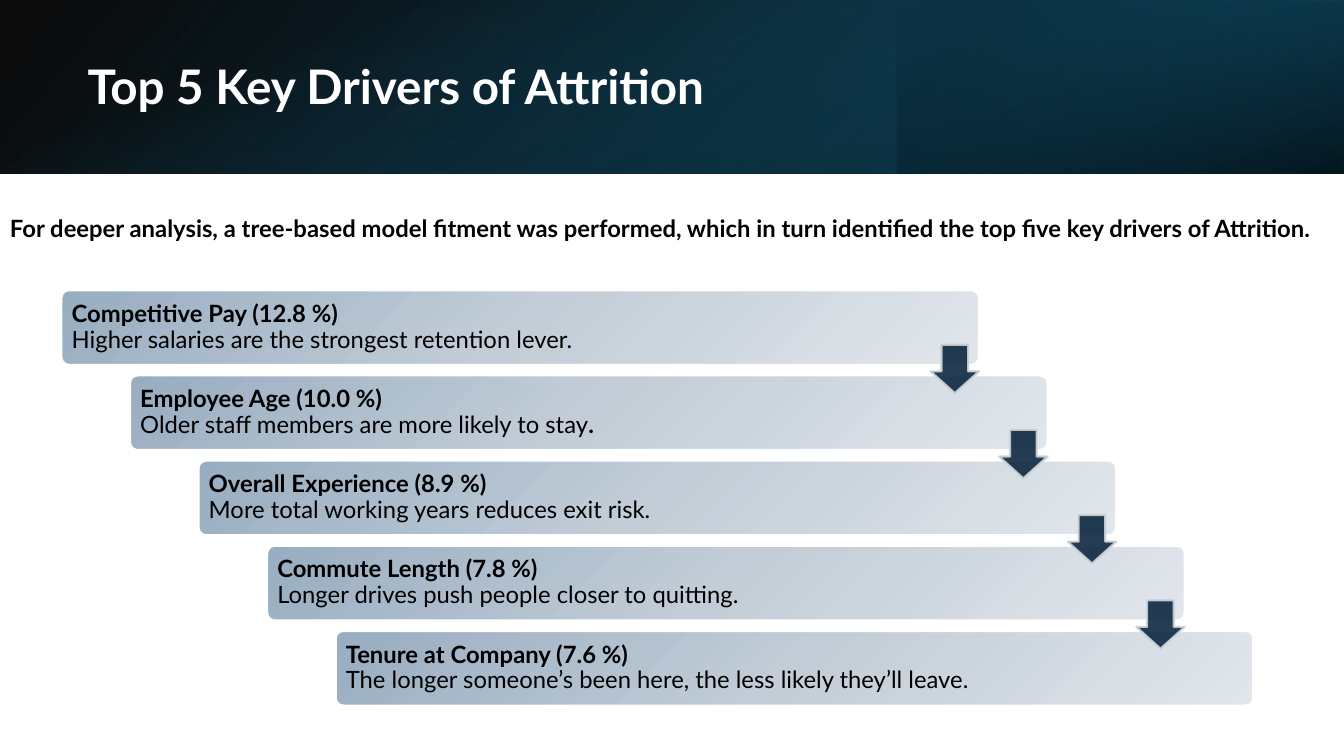
import pptx
import pptx.util
import pptx.oxml
import pptx.oxml.ns
import pptx.dml.color
import pptx.enum.shapes
import pptx.enum.text
from dataclasses import dataclass

Inches = pptx.util.Inches
Pt = pptx.util.Pt
Kind = pptx.enum.shapes.MSO_SHAPE
Anchor = pptx.enum.text.MSO_ANCHOR
qn = pptx.oxml.ns.qn


@dataclass(frozen=True)
class Theme:
    font: str = "Lato"
    head: int = 34
    body: int = 17
    edge: float = 1.5
    white: str = "FFFFFF"
    black: str = "000000"
    teal: str = "156082"
    deep: str = "0B3041"
    sea: str = "104862"
    navy: str = "0E2841"
    rim: str = "CCD2D8"
    bar: tuple = ((0, "98ADC1", 100), (50, "C2CDD7", 100), (100, "E1E6EB", 100))


THEME = Theme()

# Title and text of each driver, as runs of (text, bold)
DRIVERS = [
    ("Competitive Pay (12.8 %)",
     [("Higher salaries are the strongest retention lever.", False)]),
    ("Employee Age (10.0 %)",
     [("Older staff members are more likely to stay", False), (".", True)]),
    ("Overall Experience (8.9 %)",
     [("More total working years reduces exit risk.", False)]),
    ("Commute Length (7.8 %)",
     [("Longer drives push people closer to quitting.", False)]),
    ("Tenure at Company (7.6 %)",
     [("The longer someone’s been here, the less likely they’ll leave.", False)]),
]
STEP_X, STEP_Y = 0.68, 0.845


def rgb(code):
    return pptx.dml.color.RGBColor.from_string(code)


def add_box(slide, kind, place):
    shape = slide.shapes.add_shape(kind, *map(Inches, place))
    shape.shadow.inherit = False
    shape.fill.solid()
    shape.line.fill.background()
    return shape


def set_edge(shape, color):
    shape.line.color.rgb = rgb(color)
    shape.line.width = Pt(THEME.edge)


def set_grad(shape, stops, angle):
    marks = "".join(
        f'<a:gs pos="{pos * 1000}"><a:srgbClr val="{color}">'
        f'<a:alpha val="{alpha * 1000}"/></a:srgbClr></a:gs>'
        for pos, color, alpha in stops)
    grad = pptx.oxml.parse_xml(
        f'<a:gradFill {pptx.oxml.ns.nsdecls("a")} rotWithShape="1">'
        f'<a:gsLst>{marks}</a:gsLst>'
        f'<a:lin ang="{angle * 60000}" scaled="0"/></a:gradFill>')
    props = shape.element.spPr
    props.replace(props.find(qn("a:solidFill")), grad)


def set_alpha(shape, share):
    for color in shape.element.spPr.iter(qn("a:srgbClr")):
        color.append(pptx.oxml.parse_xml(
            f'<a:alpha {pptx.oxml.ns.nsdecls("a")} val="{share * 1000}"/>'))


def add_text(slide, place, lines, size, color, inset=None, anchor=Anchor.TOP, space=1.0):
    frame = slide.shapes.add_textbox(*map(Inches, place)).text_frame
    frame.word_wrap = True
    frame.vertical_anchor = anchor
    if inset is not None:
        frame.margin_left = frame.margin_right = Inches(inset)
        frame.margin_top = frame.margin_bottom = Inches(inset)
    para = frame.paragraphs[0]
    para.line_spacing = space
    for index, runs in enumerate(lines):
        if index:
            para.add_line_break()
        for text, bold in runs:
            run = para.add_run()
            run.text = text
            run.font.name = THEME.font
            run.font.size = Pt(size)
            run.font.bold = bold
            run.font.color.rgb = rgb(color)


def add_band(slide):
    # Layers as place, turn, mirrored, stops, angle
    layers = [
        ((0, 0, 13.33, 1.72), 0, True,
         [(0, THEME.black, 96), (100, THEME.sea, 100)], 140),
        ((8.89, 0, 4.44, 1.72), 180, True,
         [(19, THEME.deep, 68), (100, THEME.teal, 79)], 320),
        ((5.8, -5.8, 1.72, 13.33), 90, False,
         [(23, THEME.teal, 0), (99, THEME.black, 74)], 340),
        ((4.18, 0, 4.71, 1.72), 0, False,
         [(0, THEME.teal, 17), (74, THEME.deep, 0)], 240),
    ]
    for place, turn, mirror, stops, angle in layers:
        layer = add_box(slide, Kind.RECTANGLE, place)
        layer.rotation = turn
        if mirror:
            layer.element.spPr.get_or_add_xfrm().set("flipH", "1")
        set_grad(layer, stops, angle)


def add_bar(slide, index, title, runs):
    left, top = 0.61 + STEP_X * index, 2.88 + STEP_Y * index
    bar = add_box(slide, Kind.ROUNDED_RECTANGLE, (left, top, 9.1, 0.74))
    bar.adjustments[0] = 0.1
    set_grad(bar, THEME.bar, 45)
    set_edge(bar, THEME.white)
    add_text(slide, (left + 0.03, top + 0.02, 7.89, 0.7), [[(title, True)], runs],
             THEME.body, THEME.black, 0.07, Anchor.MIDDLE, 0.9)


def add_arrow(slide, index):
    place = (9.23 + STEP_X * index, 3.42 + STEP_Y * index, 0.48, 0.48)
    arrow = add_box(slide, Kind.DOWN_ARROW, place)
    # The preset lists the head length after the shaft width
    arrow.adjustments[0] = 0.55
    arrow.adjustments[1] = 0.45
    arrow.fill.fore_color.rgb = rgb(THEME.navy)
    set_edge(arrow, THEME.rim)
    set_alpha(arrow, 90)


def main():
    deck = pptx.Presentation()
    deck.slide_width, deck.slide_height = Inches(13.33), Inches(7.5)
    slide = deck.slides.add_slide(deck.slide_layouts[6])

    # Header
    add_band(slide)
    add_text(slide, (0.77, 0.35, 7.66, 1.06), [[("Top 5 Key Drivers of Attrition", True)]],
             THEME.head, THEME.white, anchor=Anchor.MIDDLE, space=0.9)

    # Staircase of drivers, then the arrows between them
    for index, (title, runs) in enumerate(DRIVERS):
        add_bar(slide, index, title, runs)
    for index in range(len(DRIVERS) - 1):
        add_arrow(slide, index)

    # Lead sentence
    lead = ("For deeper analysis, a tree-based model fitment was performed, which in turn "
            "identified the top five key drivers of Attrition.")
    add_text(slide, (0, 2.07, 13.55, 0.39), [[(lead, True)]], THEME.body, THEME.black)

    deck.save("out.pptx")


if __name__ == "__main__":
    main()
